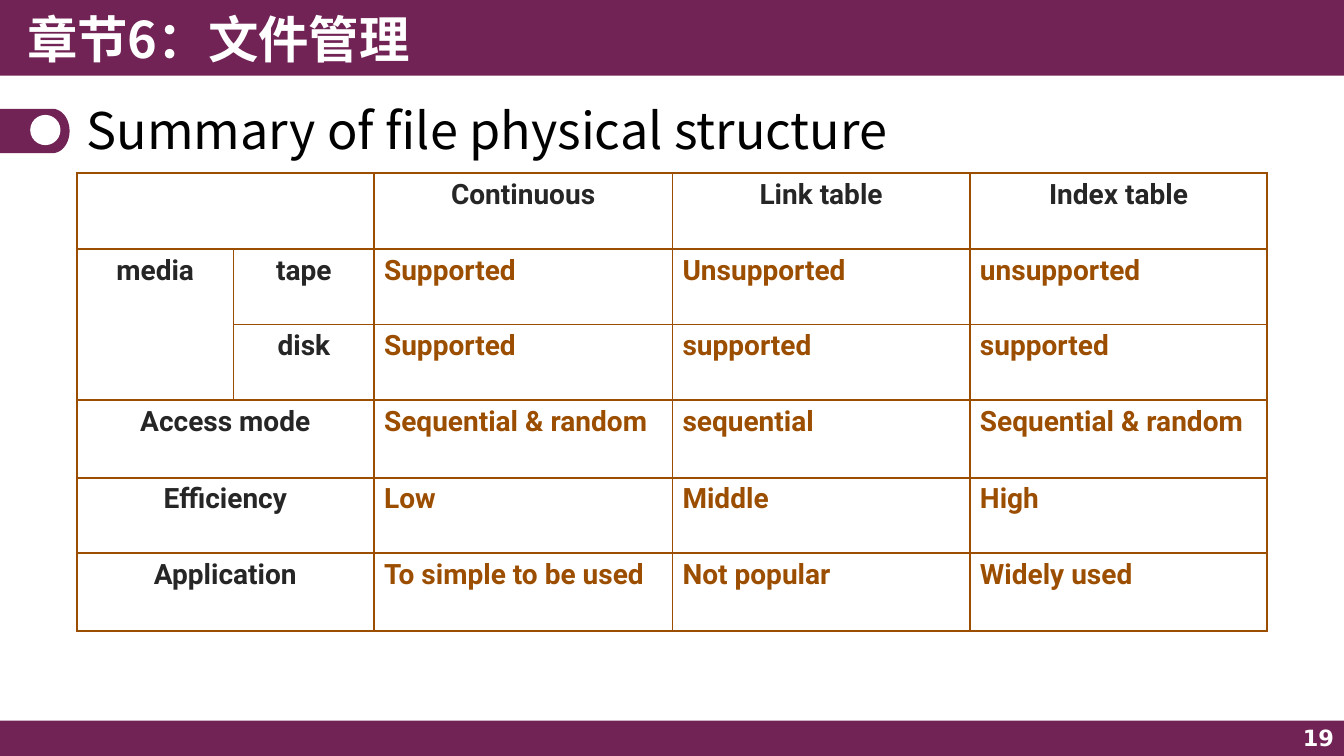
import math

import pptx
import pptx.util
import pptx.dml.color
import pptx.enum.shapes
import pptx.enum.text
from lxml import etree
from pptx.util import Inches

COLORS = {"plum": "712355", "white": "FFFFFF", "black": "000000",
          "label": "262626", "brown": "9C4E00"}
CJK_FONT = "Noto Sans CJK SC"
DRAWING_NS = "http://schemas.openxmlformats.org/drawingml/2006/main"
SHAPES = pptx.enum.shapes.MSO_SHAPE
ALIGN = pptx.enum.text.PP_ALIGN
COLUMN_WIDTHS = [1.56, 1.39, 2.96, 2.95, 2.95]
ROW_HEIGHTS = [0.75, 0.75, 0.75, 0.77, 0.75, 0.77]
SUMMARY = [
    ["", "", "Continuous", "Link table", "Index table"],
    ["media", "tape", "Supported", "Unsupported", "unsupported"],
    ["", "disk", "Supported", "supported", "supported"],
    ["Access mode", "", "Sequential & random", "sequential", "Sequential & random"],
    ["Efficiency", "", "Low", "Middle", "High"],
    ["Application", "", "To simple to be used", "Not popular", "Widely used"],
]


def rgb(color):
    return pptx.dml.color.RGBColor.from_string(COLORS[color])


def tag(name):
    return f"{{{DRAWING_NS}}}{name}"


def paint(shape, color):
    shape.shadow.inherit = False
    shape.fill.solid()
    shape.fill.fore_color.rgb = rgb(color)
    shape.line.fill.background()


def add_filled(slide, preset, box, color):
    paint(slide.shapes.add_shape(preset, *map(Inches, box)), color)


def add_marker(slide):
    center_x, center_y, radius_x, radius_y = 0.52, 1.3, 0.17, 0.22
    angles = [math.radians(degrees) for degrees in range(-90, 91, 6)]
    arc = [(Inches(center_x + radius_x * math.cos(angle)),
            Inches(center_y + radius_y * math.sin(angle))) for angle in angles]
    top, bottom = Inches(center_y - radius_y), Inches(center_y + radius_y)
    tab = slide.shapes.build_freeform(0, top)
    tab.add_line_segments(arc + [(0, bottom)], close=True)
    paint(tab.convert_to_shape(), "plum")
    add_filled(slide, SHAPES.OVAL, (0.3, 1.14, 0.3, 0.3), "white")


def write(frame, text, size, font, color, bold=True, align=ALIGN.LEFT):
    frame.word_wrap = True
    paragraph = frame.paragraphs[0]
    paragraph.text = text
    paragraph.alignment = align
    for run in paragraph.runs:
        run.font.size = pptx.util.Pt(size)
        run.font.name = font
        run.font.bold = bold
        run.font.color.rgb = rgb(color)
        east_asian = etree.Element(tag("ea"), typeface=font)
        run.font._element.find(tag("latin")).addnext(east_asian)
    return paragraph


def add_text(slide, box, text, size, font, color, **style):
    frame = slide.shapes.add_textbox(*map(Inches, box)).text_frame
    frame.vertical_anchor = pptx.enum.text.MSO_ANCHOR.MIDDLE
    return write(frame, text, size, font, color, **style)


def set_borders(cell, widths):
    properties = cell._tc.get_or_add_tcPr()
    for position, (side, width) in enumerate(widths.items()):
        border = etree.Element(tag("ln" + side), w=str(pptx.util.Pt(width)))
        fill = etree.SubElement(border, tag("solidFill"))
        etree.SubElement(fill, tag("srgbClr"), val=COLORS["brown"])
        properties.insert(position, border)


def add_summary_table(slide):
    box = (0.76, 1.72, sum(COLUMN_WIDTHS), sum(ROW_HEIGHTS))
    table = slide.shapes.add_table(len(SUMMARY), len(COLUMN_WIDTHS),
                                   *map(Inches, box)).table
    for column, width in zip(table.columns, COLUMN_WIDTHS):
        column.width = Inches(width)
    for row, height in zip(table.rows, ROW_HEIGHTS):
        row.height = Inches(height)

    for row_index, entries in enumerate(SUMMARY):
        for column_index, entry in enumerate(entries):
            cell = table.cell(row_index, column_index)
            cell.fill.solid()
            cell.fill.fore_color.rgb = rgb("white")
            is_media = row_index in (1, 2)
            set_borders(cell, {
                "L": 1 if is_media and column_index == 1 else 1.5,
                "R": 1 if is_media and column_index == 0 else 1.5,
                "T": 1.5,
                "B": 1.5,
            })
            is_label = row_index == 0 or column_index < 2
            write(cell.text_frame, entry, 20, "Roboto",
                  "label" if is_label else "brown",
                  align=ALIGN.CENTER if is_label else ALIGN.LEFT)

    for row_index in (0, 3, 4, 5):
        table.cell(row_index, 0).merge(table.cell(row_index, 1))
    table.cell(1, 0).merge(table.cell(2, 0))


def main():
    deck = pptx.Presentation()
    deck.slide_width, deck.slide_height = Inches(13.33), Inches(7.5)
    slide = deck.slides.add_slide(deck.slide_layouts[6])
    add_filled(slide, SHAPES.RECTANGLE, (0, 7.15, 13.33, 0.35), "plum")
    add_filled(slide, SHAPES.RECTANGLE, (0, 0, 13.33, 0.75), "plum")
    add_marker(slide)
    add_text(slide, (0.17, 0, 6.67, 0.77), "章节6：文件管理", 36, CJK_FONT, "white")
    add_text(slide, (10.33, 7.14, 3, 0.36), "19", 16, "DejaVu Sans", "white",
             align=ALIGN.RIGHT)
    heading = add_text(slide, (0.76, 0.95, 11.81, 0.74),
                       "Summary of file physical structure", 36, CJK_FONT,
                       "black", bold=False)
    heading.line_spacing = 0.9
    add_summary_table(slide)
    deck.save("out.pptx")


if __name__ == "__main__":
    main()
